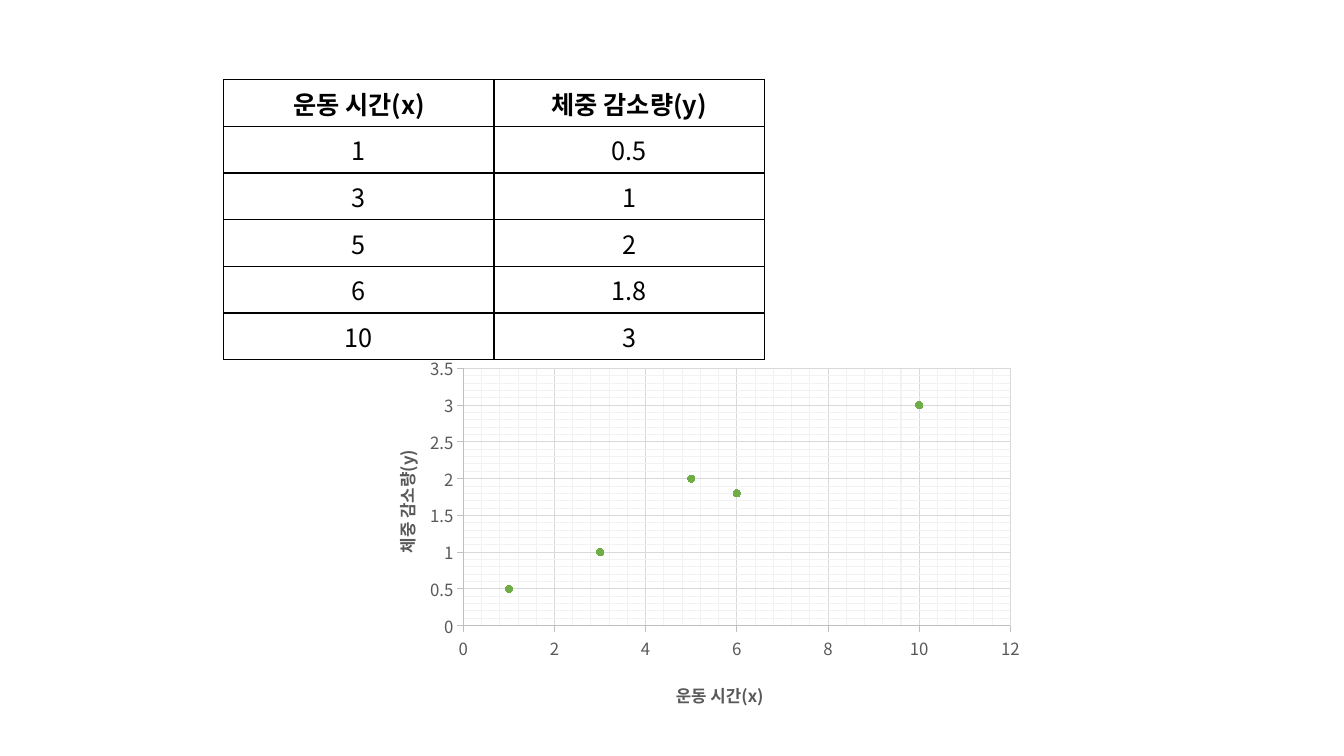
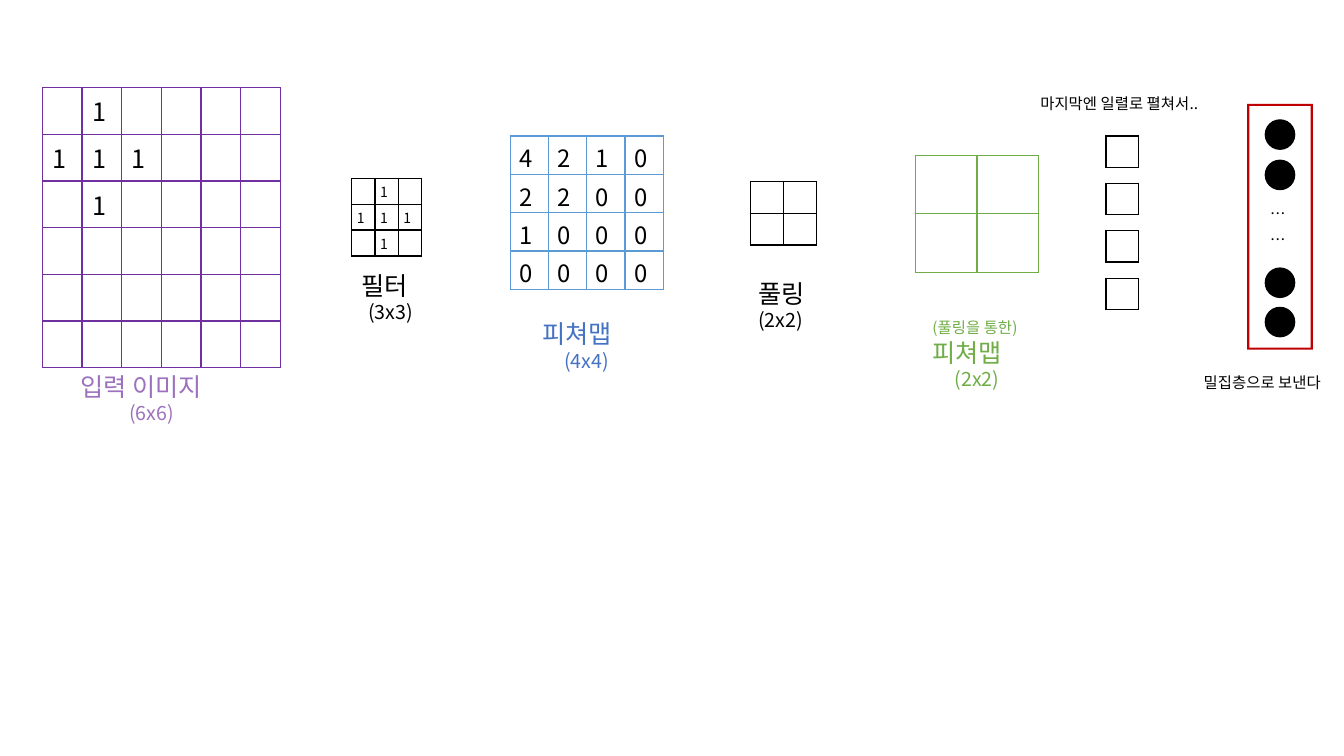
"""Build two slides: an exercise scatter plot and a convolution walk-through."""
import lxml.etree
import pptx
import pptx.chart.data
import pptx.dml.color
import pptx.enum.chart
import pptx.enum.shapes
import pptx.enum.text
import pptx.oxml.ns
import pptx.util

Inches = pptx.util.Inches
Pt = pptx.util.Pt
RGBColor = pptx.dml.color.RGBColor
SHAPE = pptx.enum.shapes.MSO_SHAPE
ALIGN = pptx.enum.text.PP_ALIGN
ANCHOR = pptx.enum.text.MSO_ANCHOR
qn = pptx.oxml.ns.qn

FONT = "Noto Sans CJK KR"
BLACK = RGBColor(0x00, 0x00, 0x00)
GRAY = RGBColor(0x59, 0x59, 0x59)
AXIS_GRAY = RGBColor(0xBF, 0xBF, 0xBF)
GRID_GRAY = RGBColor(0xD9, 0xD9, 0xD9)
MINOR_GRAY = RGBColor(0xF2, 0xF2, 0xF2)
PURPLE = RGBColor(0x70, 0x30, 0xA0)
LILAC = RGBColor(0x9D, 0x71, 0xBE)
SKY = RGBColor(0x5B, 0x9B, 0xD5)
BLUE = RGBColor(0x44, 0x72, 0xC4)
GREEN = RGBColor(0x70, 0xAD, 0x47)
RED = RGBColor(0xC0, 0x00, 0x00)

X_LABEL = "운동 시간(x)"
Y_LABEL = "체중 감소량(y)"
EXERCISE = [(1, 0.5), (3, 1), (5, 2), (6, 1.8), (10, 3)]
INPUT_IMAGE = [" 1    ", "111   ", " 1    ", " " * 6, " " * 6, " " * 6]
FILTER = [" 1 ", "111", " 1 "]
FEATURE_MAP = ["4210", "2200", "1000", "0000"]
POOL = ["  ", "  "]


def write(paragraph, text, size=18, color=BLACK, bold=False, align=None):
    """Add a formatted run to a paragraph."""
    run = paragraph.add_run()
    run.text = text
    run.font.name, run.font.size, run.font.bold = FONT, Pt(size), bold
    run.font.color.rgb = color
    latin = run.font._element.find(qn("a:latin"))
    latin.addnext(latin.makeelement(qn("a:ea"), {"typeface": FONT}))
    if align is not None:
        paragraph.alignment = align


def add_lines(slide, box, lines, color=BLACK):
    """Place a text box whose lines are (text, size, alignment)."""
    frame = slide.shapes.add_textbox(*map(Inches, box)).text_frame
    frame.word_wrap = True
    for index, (text, size, align) in enumerate(lines):
        paragraph = frame.add_paragraph() if index else frame.paragraphs[0]
        write(paragraph, text, size=size, color=color, align=align)


def add_label(slide, box, text):
    """Place a small one-line remark."""
    add_lines(slide, box, [(text, 11, None)])


def add_caption(slide, box, name, dimensions, color=BLACK, lead=None):
    """Name a grid and give its dimensions below."""
    lines = [(lead, 11, None)] if lead else []
    lines += [(name, 18, None), (dimensions, 14, ALIGN.CENTER)]
    add_lines(slide, box, lines, color)


def add_solid_fill(parent, color):
    """Append a solid fill to a drawing element."""
    fill = lxml.etree.SubElement(parent, qn("a:solidFill"))
    lxml.etree.SubElement(fill, qn("a:srgbClr"), val=str(color))


def set_border(cell, side, color):
    """Draw one side of a cell, or clear it when there is no color."""
    line = lxml.etree.SubElement(cell._tc.get_or_add_tcPr(), qn(f"a:ln{side}"), w=str(Pt(1)))
    if color is None:
        lxml.etree.SubElement(line, qn("a:noFill"))
    else:
        add_solid_fill(line, color)


def add_grid(slide, box, rows, color=BLACK, size=18, margins=(0.1, 0.05, 0.1, 0.05),
             centered=False, header=False, inner=True):
    """Fill a box with an evenly divided, bordered table."""
    count, width = len(rows), len(rows[0])
    table = slide.shapes.add_table(count, width, *map(Inches, box)).table
    table.first_row = table.horz_banding = False
    for column in table.columns:
        column.width = Inches(box[2] / width)
    for r, values in enumerate(rows):
        table.rows[r].height = Inches(box[3] / count)
        for c, value in enumerate(values):
            cell = table.cell(r, c)
            (cell.margin_left, cell.margin_top,
             cell.margin_right, cell.margin_bottom) = map(Inches, margins)
            outer = {"L": c == 0, "R": c == width - 1, "T": r == 0, "B": r == count - 1}
            for side, at_edge in outer.items():
                set_border(cell, side, color if inner or at_edge else None)
            cell.fill.background()
            if centered:
                cell.vertical_anchor = ANCHOR.MIDDLE
            paragraph = cell.text_frame.paragraphs[0]
            if value.strip():
                write(paragraph, value, size=size, bold=header and r == 0,
                      align=ALIGN.CENTER if centered else None)
            else:
                lxml.etree.SubElement(paragraph._p, qn("a:endParaRPr"), sz=str(size * 100))


def set_layout(parent, **fractions):
    """Fix a chart part at fractions of the chart area."""
    layout = parent.find(qn("c:layout"))
    if layout is None:
        layout = parent.makeelement(qn("c:layout"), {})
        parent.insert(0 if parent.find(qn("c:tx")) is None else 1, layout)
    manual = lxml.etree.SubElement(layout, qn("c:manualLayout"))
    if "w" in fractions:
        lxml.etree.SubElement(manual, qn("c:layoutTarget"), val="inner")
    for mode in ("xMode", "yMode"):
        lxml.etree.SubElement(manual, qn(f"c:{mode}"), val="edge")
    for key, value in fractions.items():
        lxml.etree.SubElement(manual, qn(f"c:{key}"), val=str(value))


def style_line(line, color):
    """Give a chart line its color and width."""
    line.color.rgb = color
    line.width = Pt(0.75)


def style_minor_gridlines(axis):
    """Color the minor gridlines of an axis."""
    gridlines = axis._element.find(qn("c:minorGridlines"))
    properties = lxml.etree.SubElement(gridlines, qn("c:spPr"))
    line = lxml.etree.SubElement(properties, qn("a:ln"), w=str(Pt(0.75)))
    add_solid_fill(line, MINOR_GRAY)


def style_axis(axis, title, maximum, major, minor, x, y):
    """Set the scale, grid and title of an axis."""
    axis.minimum_scale, axis.maximum_scale = 0, maximum
    axis.major_unit, axis.minor_unit = major, minor
    axis.has_major_gridlines = axis.has_minor_gridlines = True
    style_line(axis.major_gridlines.format.line, GRID_GRAY)
    style_minor_gridlines(axis)
    style_line(axis.format.line, AXIS_GRAY)
    axis.major_tick_mark = pptx.enum.chart.XL_TICK_MARK.OUTSIDE
    axis.tick_labels.font.size = Pt(12)
    axis.tick_labels.font.color.rgb = GRAY
    write(axis.axis_title.text_frame.paragraphs[0], title, size=12, color=GRAY, bold=True)
    set_layout(axis.axis_title._element, x=x, y=y)


def add_scatter(slide, box, points):
    """Plot weight loss against exercise time."""
    data = pptx.chart.data.XyChartData()
    samples = data.add_series("Series 1")
    for x, y in points:
        samples.add_data_point(x, y)
    chart = slide.shapes.add_chart(
        pptx.enum.chart.XL_CHART_TYPE.XY_SCATTER, *map(Inches, box), data).chart
    chart.has_legend = chart.has_title = False
    chart.font.name, chart.font.size = FONT, Pt(12)
    chart.font.color.rgb = GRAY
    plot = chart.plots[0]
    plot.vary_by_categories = False
    series = plot.series[0]
    series.smooth = False
    series.format.line.fill.background()
    series.marker.style = pptx.enum.chart.XL_MARKER_STYLE.CIRCLE
    series.marker.size = 5
    series.marker.format.fill.solid()
    series.marker.format.fill.fore_color.rgb = GREEN
    series.marker.format.line.color.rgb = GREEN
    style_axis(chart.category_axis, X_LABEL, 12, 2, 0.4, x=0.46, y=0.88)
    style_axis(chart.value_axis, Y_LABEL, 3.5, 0.5, 0.1, x=0.04, y=0.26)
    body = chart.value_axis.axis_title._element.find(".//" + qn("a:bodyPr"))
    body.set("rot", "-5400000")
    body.set("vert", "horz")
    set_layout(chart._chartSpace.find(".//" + qn("c:plotArea")),
               x=0.15, y=0.05, w=0.81, h=0.69)


def add_solid(slide, kind, box, color, outlined=False):
    """Place a filled preset shape."""
    solid = slide.shapes.add_shape(kind, *map(Inches, box))
    solid.shadow.inherit = False
    solid.fill.solid()
    solid.fill.fore_color.rgb = color
    if outlined:
        solid.line.color.rgb = color
        solid.line.width = Pt(1)
    else:
        solid.line.fill.background()
    return solid


def add_flattened(slide, left, top):
    """Stack the four pooled values in a column under a remark."""
    add_label(slide, (left - 0.75, top - 0.47, 2.36, 0.29), "마지막엔 일렬로 펼쳐서..")
    for index in range(4):
        add_grid(slide, (left, top + 0.47 * index, 0.32, 0.31), POOL,
                 size=6, margins=(0, 0, 0, 0), inner=False)


def add_dense_layer(slide, left, top, width, height):
    """Frame a column of neurons with an ellipsis between the pairs."""
    frame = add_solid(slide, SHAPE.FRAME, (left, top, width, height), RED)
    frame.adjustments[0] = 0.033
    for offset in (0.16, 0.56, 1.63, 2.02):
        add_solid(slide, SHAPE.OVAL, (left + 0.18, top + offset, 0.29, 0.29), BLACK, outlined=True)
    for offset in (0.95, 1.2):
        add_label(slide, (left + 0.13, top + offset, 0.36, 0.29), "…")
    add_label(slide, (left - 0.53, top + height + 0.18, 1.48, 0.29), "밀집층으로 보낸다")


def build_exercise_slide(slide):
    """Show the exercise data as a table and a scatter plot."""
    rows = [(X_LABEL, Y_LABEL)] + [(str(x), str(y)) for x, y in EXERCISE]
    add_grid(slide, (2.22, 0.79, 5.36, 2.78), rows, centered=True, header=True)
    add_scatter(slide, (3.59, 3.47, 6.7, 3.7), EXERCISE)


def build_convolution_slide(slide):
    """Show the steps from the input image to the dense layer."""
    add_grid(slide, (0.42, 0.87, 2.36, 2.78), INPUT_IMAGE, color=PURPLE)
    add_caption(slide, (0.7, 3.63, 1.61, 0.64), "입력 이미지", "(6x6)", LILAC)
    add_grid(slide, (3.49, 1.77, 0.69, 0.77), FILTER, size=10, margins=(0.05, 0.03, 0.05, 0.03))
    add_caption(slide, (3.49, 2.63, 0.77, 0.64), "필터", "(3x3)")
    add_grid(slide, (5.06, 1.35, 1.52, 1.52), FEATURE_MAP, color=SKY, size=17,
             margins=(0.09, 0.04, 0.09, 0))
    add_caption(slide, (5.28, 3.11, 1.08, 0.64), "피쳐맵", "(4x4)", BLUE)
    add_grid(slide, (7.44, 1.8, 0.66, 0.63), POOL, size=10)
    add_lines(slide, (7.42, 2.71, 0.77, 0.64), [("풀링", 18, None), ("(2x2)", 14, None)])
    add_grid(slide, (9.08, 1.54, 1.22, 1.16), POOL, color=GREEN)
    add_caption(slide, (9.15, 3.11, 1.08, 0.82), "피쳐맵", "(2x2)", GREEN, lead="(풀링을 통한)")
    add_flattened(slide, 10.97, 1.35)
    add_dense_layer(slide, 12.37, 1.03, 0.65, 2.44)


def main():
    """Build and save the presentation."""
    deck = pptx.Presentation()
    deck.slide_width, deck.slide_height = Inches(13.33), Inches(7.5)
    for build in (build_exercise_slide, build_convolution_slide):
        build(deck.slides.add_slide(deck.slide_layouts[6]))
    deck.save("out.pptx")


if __name__ == "__main__":
    main()
